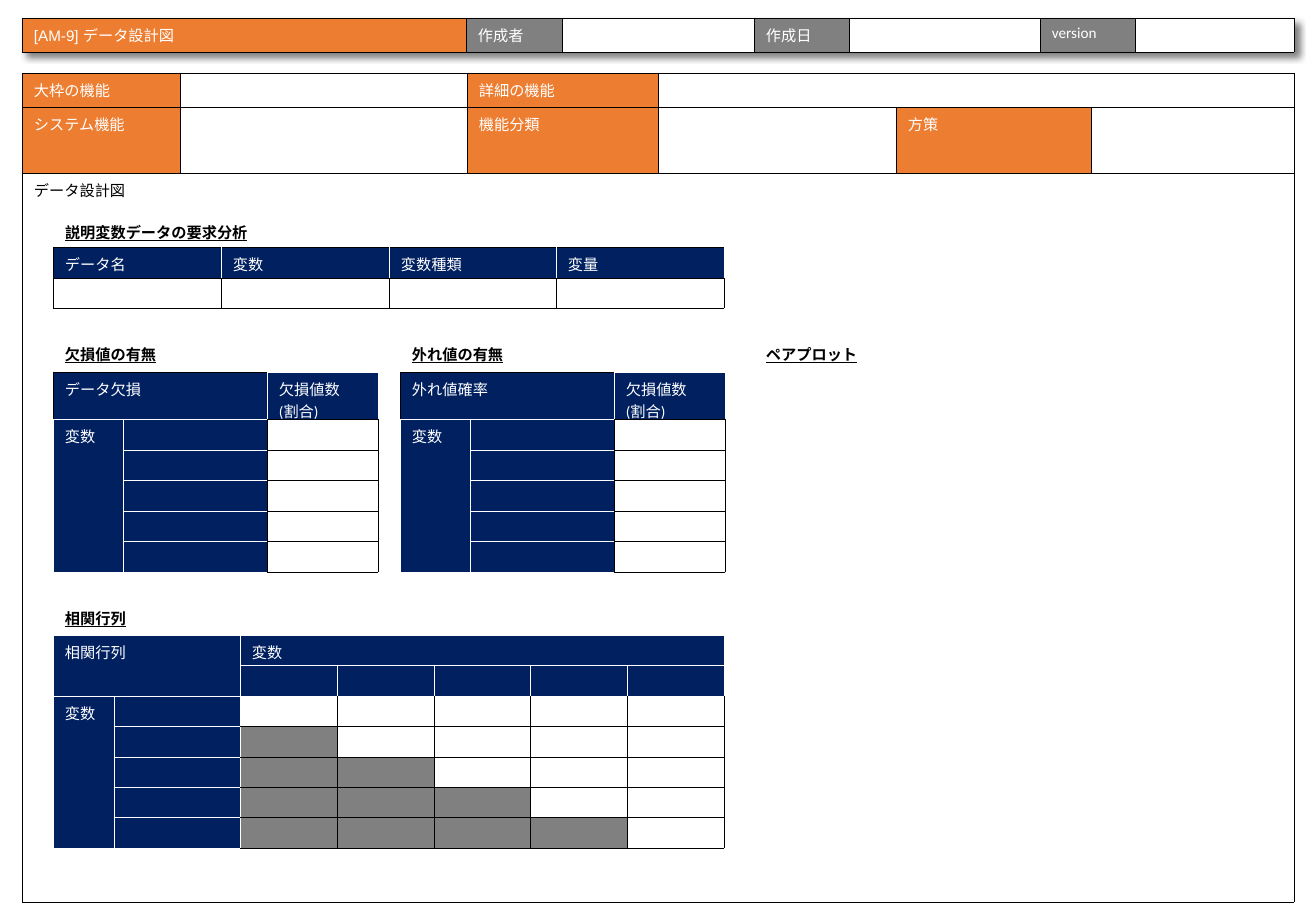
from dataclasses import dataclass
from itertools import pairwise, product

from lxml.etree import SubElement
from pptx import Presentation
from pptx.dml.color import RGBColor
from pptx.oxml import parse_xml
from pptx.oxml.ns import nsdecls, qn
from pptx.util import Emu, Pt


@dataclass(frozen=True)
class Theme:
    orange: str = "ED7D31"
    gray: str = "808080"
    navy: str = "002060"
    white: str = "FFFFFF"
    black: str = "000000"
    body: str = "Calibri"
    heading: str = "Arial"
    size: int = 9
    line: float = 0.25


THEME = Theme()
SCALE = 7526
INSET = 12
MARGIN = 6
HEADING_HEIGHT = 31


def px(length):
    return Emu(length * SCALE)


def write(para, text, font=THEME.body, color=THEME.white, bold=False, underline=False):
    span = para.add_run()
    span.text = text
    span.font.name = font
    span.font.size = Pt(THEME.size)
    span.font.color.rgb = RGBColor.from_string(color)
    span.font.bold = bold
    span.font.underline = underline


def add_heading(page, left, top, width, text):
    box = page.shapes.add_textbox(px(left), px(top), px(width), px(HEADING_HEIGHT))
    frame = box.text_frame
    frame.word_wrap = False
    frame.margin_left = frame.margin_right = px(INSET)
    frame.margin_top = frame.margin_bottom = px(MARGIN)
    write(frame.paragraphs[0], text, font=THEME.heading, color=THEME.black,
          bold=True, underline=True)


def add_grid(page, left, top, columns, rows):
    frame = page.shapes.add_table(len(rows) - 1, len(columns) - 1, px(left), px(top),
                                  px(columns[-1]), px(rows[-1]))
    table = frame.table
    table.first_row = table.horz_banding = False
    for column, (start, end) in zip(table.columns, pairwise(columns)):
        column.width = px(end - start)
    for row, (start, end) in zip(table.rows, pairwise(rows)):
        row.height = px(end - start)
    return table


def style_cell(cell, fill, text="", lines="KKKK", font=THEME.body, color=THEME.white):
    cell.margin_left = cell.margin_right = px(INSET)
    cell.margin_top = px(MARGIN)
    cell.margin_bottom = 0
    properties = cell._tc.get_or_add_tcPr()
    for side, line in zip("LTRB", lines):
        border = SubElement(properties, qn(f"a:ln{side}"), w=str(Pt(THEME.line)))
        paint = SubElement(border, qn("a:solidFill"))
        SubElement(paint, qn("a:srgbClr"), val=THEME.black if line == "K" else THEME.white)
    cell.fill.solid()
    cell.fill.fore_color.rgb = RGBColor.from_string(fill)
    frame = cell.text_frame
    for index, text_line in enumerate(text.split("\n")):
        para = frame.add_paragraph() if index else frame.paragraphs[0]
        if text_line:
            write(para, text_line, font=font, color=color)
        else:
            SubElement(para._p, qn("a:endParaRPr"), sz=str(THEME.size * 100))


def add_title_bar(page, left, top):
    table = add_grid(page, left, top, [0, 444, 540, 732, 827, 1018, 1113, 1272], [0, 34])
    labels = ["[AM-9] データ設計図", "作成者", "", "作成日", "", "version", ""]
    for index, text in enumerate(labels):
        fill = THEME.gray if text else THEME.white
        style_cell(table.cell(0, index), fill if index else THEME.orange, text,
                   font=THEME.body if index else THEME.heading)
    table._tbl.tblPr.insert(0, parse_xml(
        f'<a:effectLst {nsdecls("a")}><a:outerShdw blurRad="50800" dist="50800" '
        'dir="2700000" algn="tl" rotWithShape="0"><a:srgbClr val="000000">'
        '<a:alpha val="50000"/></a:srgbClr></a:outerShdw></a:effectLst>'))


def add_design_frame(page, left, top):
    table = add_grid(page, left, top, [0, 158, 445, 636, 874, 1069, 1272], [0, 34, 100, 829])
    labels = [["大枠の機能", "", "詳細の機能", "", "", ""],
              ["システム機能", "", "機能分類", "", "方策", ""],
              ["データ設計図", "", "", "", "", ""]]
    for row, texts in enumerate(labels):
        for column, text in enumerate(texts):
            label = text and row < 2
            style_cell(table.cell(row, column), THEME.orange if label else THEME.white, text,
                       color=THEME.white if label else THEME.black)
    table.cell(0, 3).merge(table.cell(0, 5))
    table.cell(2, 0).merge(table.cell(2, 5))


def add_requirements(page, left, top):
    add_heading(page, left, top, 209, "説明変数データの要求分析")
    table = add_grid(page, left, top + 30, [0, 168, 336, 503, 671], [0, 31, 61])
    for column, text in enumerate(["データ名", "変数", "変数種類", "変量"]):
        style_cell(table.cell(0, column), THEME.navy, text, "WKWK" if column else "KKWK")
        style_cell(table.cell(1, column), THEME.white)


def add_value_check(page, left, top, heading, label):
    add_heading(page, left, top, 117, heading)
    rows = [0] + [round(47 + step * 30.6) for step in range(6)]
    table = add_grid(page, left, top + 33, [0, 70, 214, 325], rows)
    style_cell(table.cell(0, 0), THEME.navy, label, "KKWW")
    style_cell(table.cell(0, 1), THEME.navy, lines="KKWW")
    style_cell(table.cell(0, 2), THEME.navy, "欠損値数\n(割合)", "WWWK")
    for row in range(1, 6):
        style_cell(table.cell(row, 0), THEME.navy, "変数" if row == 1 else "", "WWWW")
        style_cell(table.cell(row, 1), THEME.navy, lines="WWKW")
        style_cell(table.cell(row, 2), THEME.white)
    table.cell(0, 0).merge(table.cell(0, 1))
    table.cell(1, 0).merge(table.cell(5, 0))


def add_correlation(page, left, top):
    add_heading(page, left, top, 86, "相関行列")
    columns = [0, 61] + [round(187 + step * 96.8) for step in range(6)]
    rows = [round(step * 30.4) for step in range(8)]
    table = add_grid(page, left, top + 32, columns, rows)
    labels = {(0, 0): "相関行列", (0, 2): "変数", (2, 0): "変数"}
    for row, column in product(range(7), range(7)):
        cell = table.cell(row, column)
        if row < 2 or column < 2:
            style_cell(cell, THEME.navy, labels.get((row, column), ""), "WWWW")
        else:
            lines = ("W" if column == 2 else "K") + ("W" if row == 2 else "K") + "KK"
            style_cell(cell, THEME.gray if column < row else THEME.white, lines=lines)
    table.cell(0, 0).merge(table.cell(1, 1))
    table.cell(0, 2).merge(table.cell(0, 6))
    table.cell(2, 0).merge(table.cell(6, 0))


def main():
    deck = Presentation()
    deck.slide_width, deck.slide_height = px(1316), px(911)
    page = deck.slides.add_slide(deck.slide_layouts[6])
    add_title_bar(page, 22, 18)
    add_design_frame(page, 22, 73)
    add_requirements(page, 53, 217)
    add_value_check(page, 53, 339, "欠損値の有無", "データ欠損")
    add_value_check(page, 400, 339, "外れ値の有無", "外れ値確率")
    add_correlation(page, 53, 603)
    add_heading(page, 754, 339, 117, "ペアプロット")
    deck.save("out.pptx")


if __name__ == "__main__":
    main()
